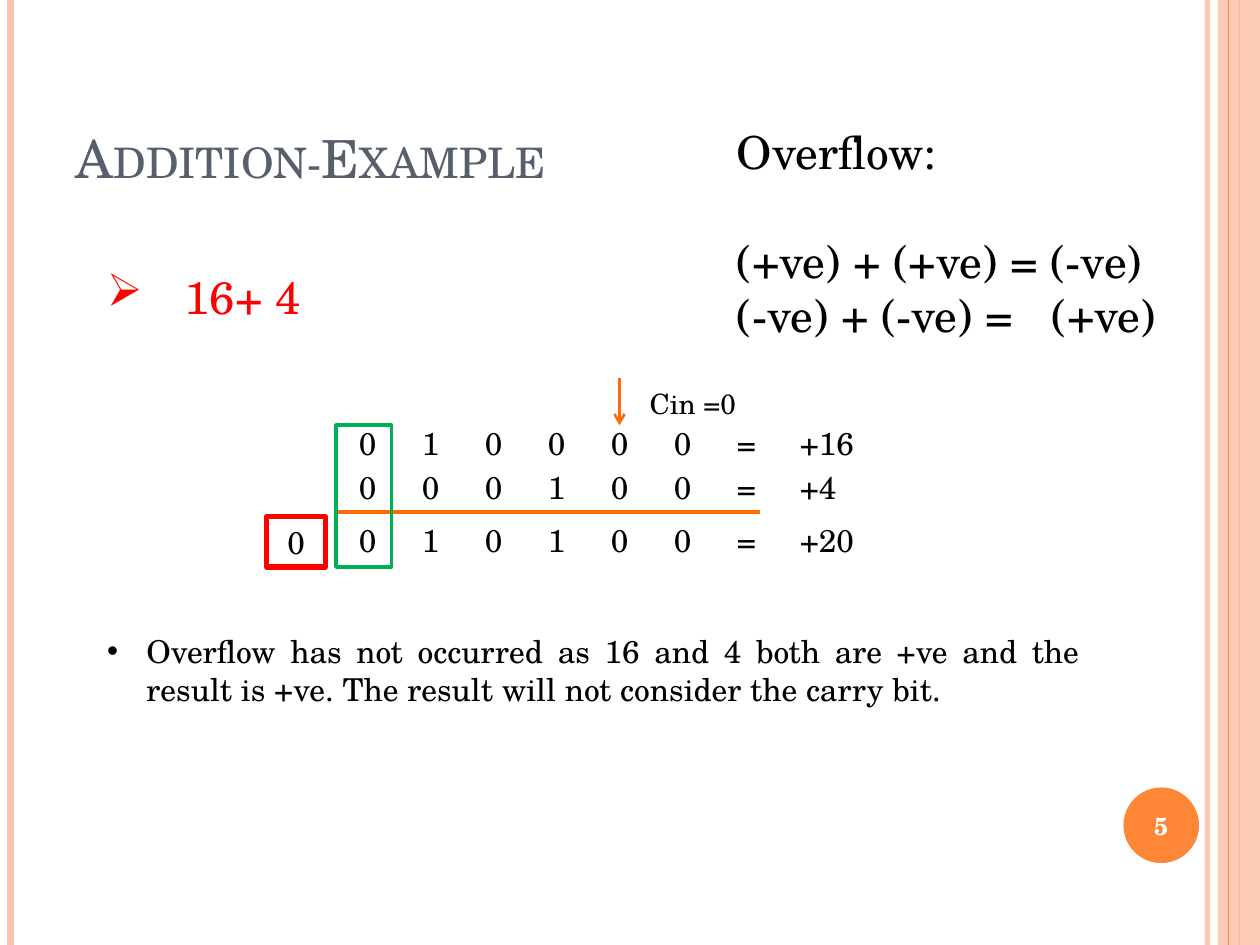
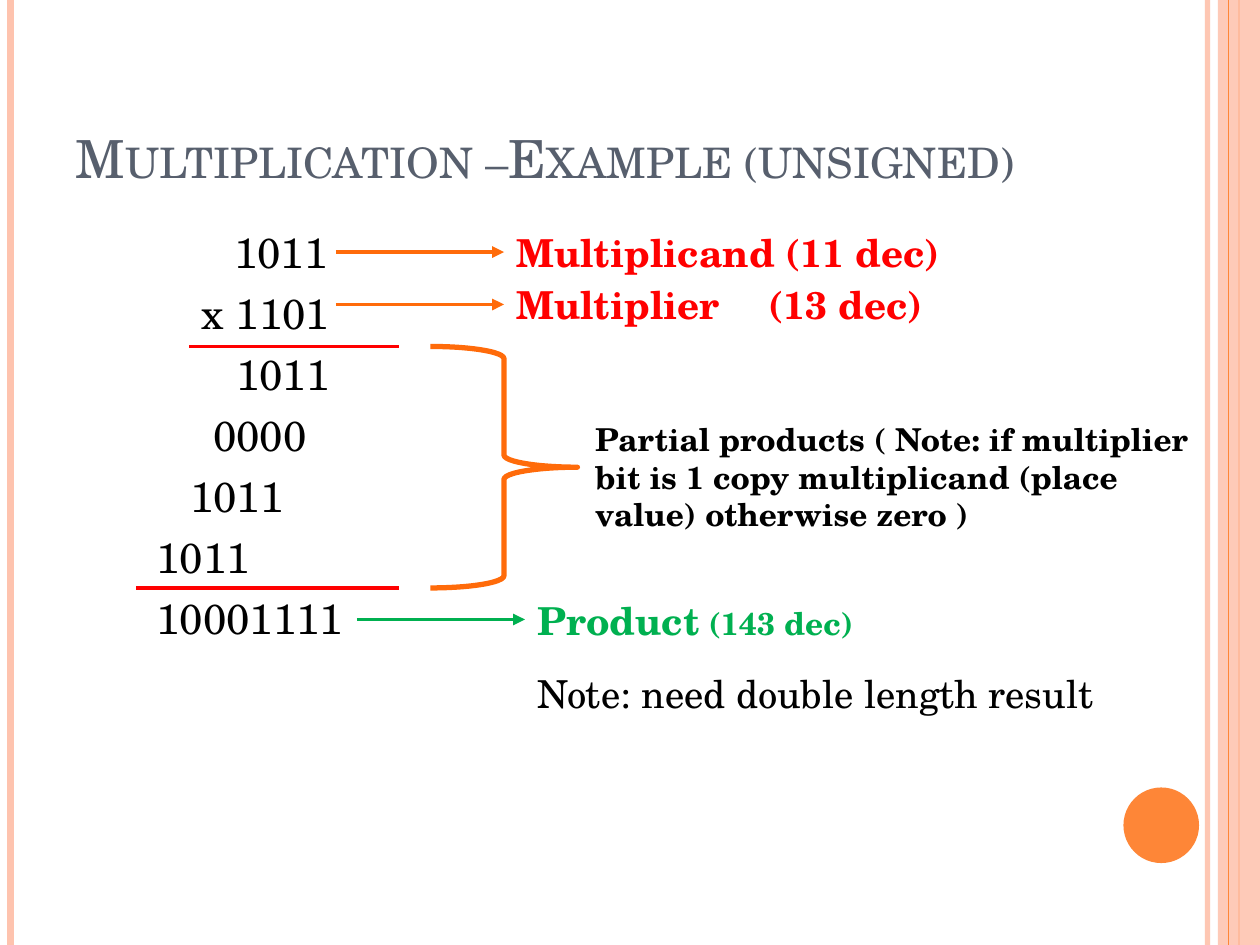
from lxml import etree
from pptx import Presentation, util as u
from pptx.dml.color import RGBColor
from pptx.enum import shapes, text
from pptx.oxml import ns


class Theme:
    font = "TeX Gyre Schola"
    ink, white, slate = "000000", "FFFFFF", "575F6D"
    peach, orange, amber = "FEC3AE", "FE8637", "FF6B0A"
    red, green = "FF0000", "00B050"
    title, lead, work, label, note, small, page = 30, 26, 24, 22, 18, 16, 14


deck = Presentation()
deck.slide_width, deck.slide_height = u.Inches(10), u.Inches(7.5)
CELL = deck.slide_width / 120  # the grid has 120 columns and 90 rows
LEFT, MID = text.PP_ALIGN.LEFT, text.PP_ALIGN.CENTER
FORM = shapes.MSO_SHAPE


def line(slide, start, end, color, width, tip=None):
    """Draw a straight line between two grid points."""
    ends = [round(n * CELL) for n in (*start, *end)]
    link = slide.shapes.add_connector(shapes.MSO_CONNECTOR.STRAIGHT, *ends)
    link.line.color.rgb = RGBColor.from_string(color)
    link.line.width = u.Pt(width)
    prop = link.line._get_or_add_ln()
    if tip:
        etree.SubElement(prop, ns.qn("a:tailEnd"), type=tip)
    etree.SubElement(prop.getparent(), ns.qn("a:effectLst"))
    return link


def fill(item, box, rows, size, color=Theme.ink, bold=False, align=LEFT,
         anchor=text.MSO_ANCHOR.TOP, gap=0, indents=(0,), hang=0, mark=None,
         stops=()):
    """Place an item on the grid and write its rows of text."""
    item.left, item.top, item.width, item.height = [round(n * CELL) for n in box]
    frame = item.text_frame
    frame.word_wrap, frame.auto_size = True, text.MSO_AUTO_SIZE.NONE
    frame.vertical_anchor = anchor
    frame.text = "\n".join(rows)
    for i, para in enumerate(frame.paragraphs):
        para.alignment, para.space_before = align, u.Pt(gap)
        font = para.font
        font.name, font.size, font.bold = Theme.font, u.Pt(size), bold
        font.color.rgb = RGBColor.from_string(color)
        prop = para._p.get_or_add_pPr()
        prop.set("marL", str(round(indents[i % len(indents)] * CELL)))
        prop.set("indent", str(round(-hang * CELL)))
        base = prop.find(ns.qn("a:defRPr"))
        bullet = etree.Element(ns.qn("a:buChar" if mark else "a:buNone"))
        if mark:
            bullet.set("char", mark)
        base.addprevious(bullet)
        if stops:
            tabs = etree.Element(ns.qn("a:tabLst"))
            for stop in stops:
                etree.SubElement(tabs, ns.qn("a:tab"), pos=str(round(stop * CELL)), algn="l")
            base.addprevious(tabs)
    return item


# Shared frame: side bands, page disc and title
pages = []
for head, page in (("Addition-Example", "5"), ("Multiplication –Example (unsigned)", "")):
    slide = deck.slides.add_slide(deck.slide_layouts[1])
    pages.append(slide)
    edge = line(slide, (115, 0), (115, 90), Theme.peach, 3)
    line(slide, (1, 0), (1, 90), Theme.peach, 4.5)
    line(slide, (118, 0), (118, 90), Theme.orange, 1.5)
    band = slide.shapes.add_shape(FORM.RECTANGLE, 0, 0, 0, 0)
    fill(band, (116, 0, 4, 90), [], Theme.note)
    line(slide, (117, 0), (117, 90), Theme.orange, 0.75)
    disc = slide.shapes.add_shape(FORM.OVAL, 0, 0, 0, 0)
    fill(disc, (107, 75, 7.2, 7.2), [page], Theme.page, Theme.white, True, MID,
         text.MSO_ANCHOR.MIDDLE)
    for item, color in ((band, Theme.peach), (disc, Theme.orange)):
        item.shadow.inherit = False
        item.fill.solid()
        item.fill.fore_color.rgb = RGBColor.from_string(color)
        item.line.fill.background()
    for item, share in ((edge, 93), (band, 87)):
        tint = next(item._element.spPr.iter(ns.qn("a:srgbClr")))
        etree.SubElement(tint, ns.qn("a:alpha"), val=str(share * 1000))
    name = fill(slide.shapes.title, (6, 3.6, 98, 15), [head], Theme.title, Theme.slate,
                anchor=text.MSO_ANCHOR.BOTTOM)
    next(name._element.iter(ns.qn("a:defRPr"))).set("cap", "small")

add, mul = pages

# Addition: binary sum in tabbed columns
for top, sum_row, shift in ((39.8, "0 1 0 0 0 0 = +16", 0),
                            (44, "0 0 0 1 0 0 = +4", 0),
                            (49, "0 1 0 1 0 0 = +20", 0.83)):
    cols = [5, 10, 15, 20, 24.17, 29.17 - shift, 32.66 - shift]
    fill(add.shapes.add_textbox(0, 0, 0, 0), (33, top, 56, 4.8),
         [sum_row.replace(" ", "\t")], Theme.note, stops=cols)
line(add, (32, 48.8), (72.4, 48.8), Theme.amber, 2.25)

# Addition: carry in, carry out and sign column
line(add, (59, 36), (59, 40.5), Theme.amber, 1.5, "arrow")
fill(add.shapes.add_textbox(0, 0, 0, 0), (60.7, 36.2, 12.5, 4.4), ["Cin =0"], Theme.small)
for box, rows, color, width in (((25.4, 49.2, 5.6, 4.8), ["0"], Theme.red, 3),
                                ((32, 40.5, 5.3, 13.5), [], Theme.green, 2)):
    item = add.shapes.add_shape(FORM.RECTANGLE, 0, 0, 0, 0)
    fill(item, box, rows, Theme.note, align=MID)
    item.shadow.inherit = False
    item.fill.background()
    item.line.color.rgb = RGBColor.from_string(color)
    item.line.width = u.Pt(width)

# Addition: task, overflow rule and conclusion
fill(add.shapes.add_textbox(0, 0, 0, 0), (9, 25, 46, 6.5), ["16+ 4"], Theme.lead,
     Theme.red, indents=(7.4,), hang=7.4, mark="➢")
rule = fill(add.shapes.add_textbox(0, 0, 0, 0), (69, 11.2, 44, 22.2),
            ["Overflow:", "(+ve) + (+ve) = (-ve)", "(-ve) + (-ve) =\t(+ve)"],
            Theme.lead, stops=(28.6,))
rule.text_frame.paragraphs[1].space_before = u.Pt(31)
fill(add.placeholders[1], (9, 59.6, 95, 8.5),
     ["Overflow has not occurred as 16 and 4 both are +ve and the result is +ve. "
      "The result will not consider the carry bit."],
     Theme.note, align=text.PP_ALIGN.JUSTIFY, indents=(3.75,), hang=3.75, mark="•")

# Multiplication: long working, each row with its own indent
fill(mul.placeholders[1], (6, 21, 44, 64),
     ["1011", "x 1101", "1011", "0000", "1011", "1011", "10001111"], Theme.work, gap=6,
     indents=(15.1, 12, 15.3, 13.1, 10.9, 7.7, 7.7))
line(mul, (18, 33), (38, 33), Theme.red, 2.25)
line(mul, (13, 56), (38, 56), Theme.red, 2.25)

# Multiplication: arrows and labels
for x, y, color in ((32, 24, Theme.amber), (32, 29, Theme.amber), (34, 59, Theme.green)):
    line(mul, (x, y), (x + 16, y), color, 2.25, "triangle")
for top, words in ((21.2, "Multiplicand (11 dec)"), (26.2, "Multiplier\t(13 dec)")):
    fill(mul.shapes.add_textbox(0, 0, 0, 0), (48, top, 46, 5.6), [words], Theme.label,
         Theme.red, True, stops=(24.7,))
out = fill(mul.shapes.add_textbox(0, 0, 0, 0), (50, 56.3, 36, 5.6), ["Product"],
           Theme.label, Theme.green, True)
run = out.text_frame.paragraphs[0].add_run()
run.text, run.font.size = " (143 dec)", u.Pt(Theme.note)
fill(mul.shapes.add_textbox(0, 0, 0, 0), (50, 63.2, 64, 5.3),
     ["Note: need double length result"], Theme.label, gap=6)

# Multiplication: brace around the partial products
brace = mul.shapes.add_shape(FORM.RIGHT_BRACE, 0, 0, 0, 0)
fill(brace, (41, 33, 14, 23), [], Theme.note)
brace.shadow.inherit = False
brace.fill.background()
brace.line.color.rgb = RGBColor.from_string(Theme.amber)
brace.line.width = u.Pt(3)
fill(mul.shapes.add_textbox(0, 0, 0, 0), (55.5, 39.4, 60.5, 12),
     ["Partial products ( Note: if multiplier bit is 1 copy multiplicand "
      "(place value) otherwise zero )"], Theme.note, bold=True)

deck.save("out.pptx")
